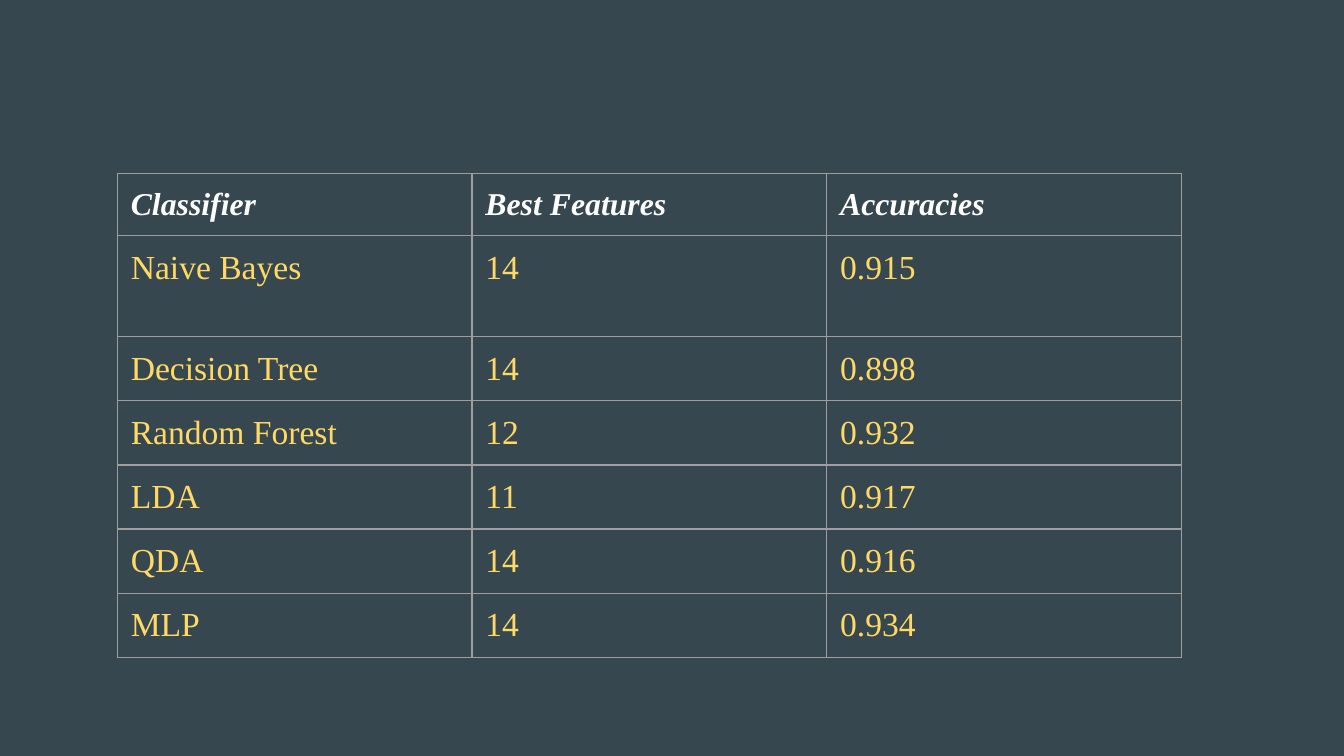
import pptx
import pptx.dml.color
import pptx.oxml
import pptx.oxml.ns
import pptx.util

Pt = pptx.util.Pt


def colour(hex_string):
    return pptx.dml.color.RGBColor.from_string(hex_string)


def add_border(cell, side, hex_string, width):
    cell.fill.background()
    line = pptx.oxml.parse_xml(
        f'<a:{side} {pptx.oxml.ns.nsdecls("a")} w="{Pt(width)}">'
        f'<a:solidFill><a:srgbClr val="{hex_string}"/></a:solidFill></a:{side}>'
    )
    properties = cell._tc.get_or_add_tcPr()
    # Borders come before the fill, in the order they are added
    properties.insert(len(properties) - 1, line)


results = [
    ("Classifier", "Best Features", "Accuracies"),
    ("Naive Bayes", "14", "0.915"),
    ("Decision Tree", "14", "0.898"),
    ("Random Forest", "12", "0.932"),
    ("LDA", "11", "0.917"),
    ("QDA", "14", "0.916"),
    ("MLP", "14", "0.934"),
]
row_heights = [33.3, 54.1] + [34.3] * 5
column_width = 190

heading_format = {"name": "Times New Roman", "size": Pt(17), "bold": True, "italic": True}
result_format = {"name": "Times New Roman", "size": Pt(18), "bold": False, "italic": False}
cell_margins = {
    f"margin_{side}": Pt(7.2) for side in ("left", "right", "top", "bottom")
}

# Slide and background
presentation = pptx.Presentation()
presentation.slide_width = Pt(720)
presentation.slide_height = Pt(405)
slide = presentation.slides.add_slide(presentation.slide_layouts[6])
slide.background.fill.solid()
slide.background.fill.fore_color.rgb = colour("37474F")

# Classifier results table
comparison = slide.shapes.add_table(
    len(results), len(results[0]), Pt(62.9), Pt(92.9),
    Pt(column_width * len(results[0])), Pt(sum(row_heights)),
).table
comparison.first_row = False
comparison.horz_banding = False
for column in comparison.columns:
    column.width = Pt(column_width)

# Cell text, margins and borders
for row_index, (texts, height) in enumerate(zip(results, row_heights)):
    comparison.rows[row_index].height = Pt(height)
    is_heading = row_index == 0
    for column_index, text in enumerate(texts):
        cell = comparison.cell(row_index, column_index)
        for attribute, value in cell_margins.items():
            setattr(cell, attribute, value)
        run = cell.text_frame.paragraphs[0].add_run()
        run.text = text
        for attribute, value in (heading_format if is_heading else result_format).items():
            setattr(run.font, attribute, value)
        run.font.color.rgb = colour("FFFFFF" if is_heading else "FFD966")
        for side in ("lnL", "lnR", "lnT", "lnB"):
            add_border(cell, side, "9E9E9E", 0.75)

presentation.save("out.pptx")
